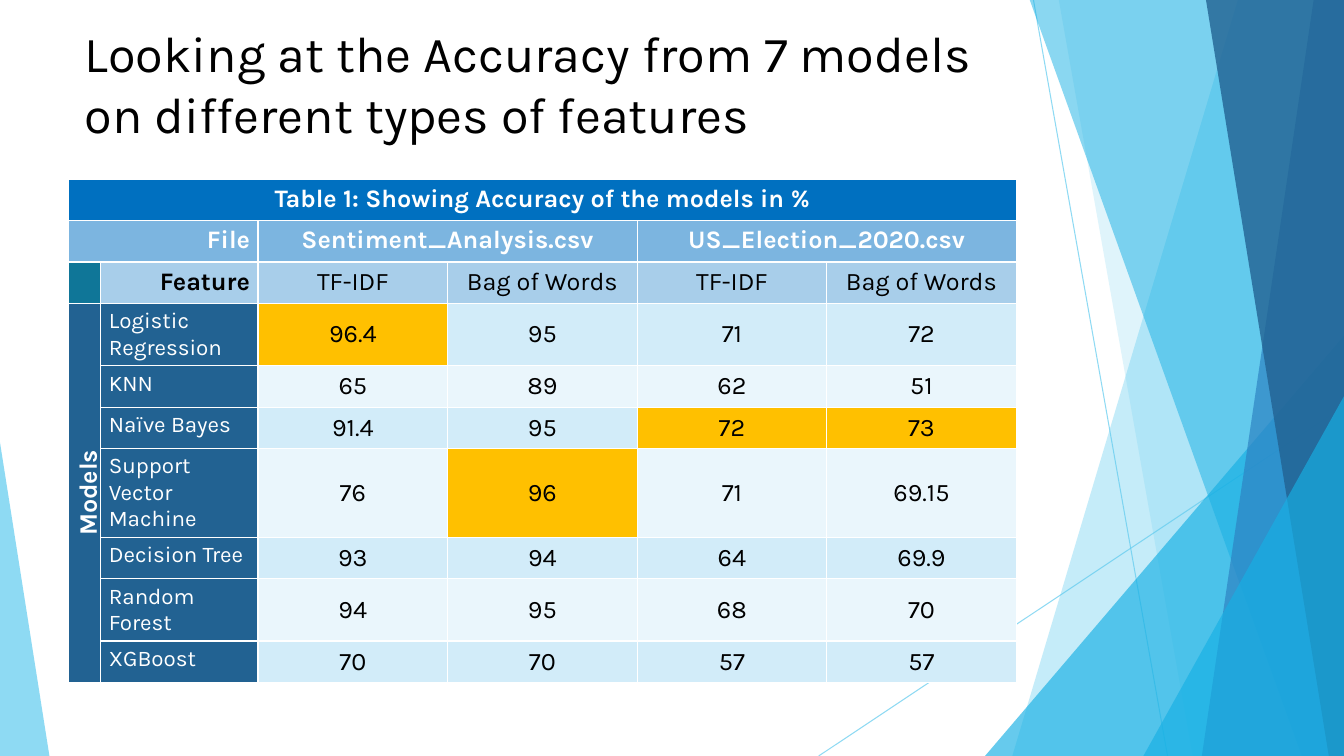
from lxml.etree import SubElement
from pptx import Presentation
from pptx.dml.color import RGBColor
from pptx.enum.shapes import MSO_CONNECTOR, MSO_SHAPE
from pptx.enum.text import MSO_ANCHOR, MSO_AUTO_SIZE, PP_ALIGN
from pptx.oxml.ns import qn
from pptx.util import Inches, Pt

COLORS = {
    "black": "000000", "white": "FFFFFF", "sky": "5FCBEF", "cyan": "17B0E4",
    "blue": "2E83C3", "navy": "226292", "caption": "0070C0", "file": "7CB5E0",
    "feature": "A8CEEA", "corner": "0F7698", "best": "FFC000",
    "odd": "D2ECF9", "even": "EAF6FC",
}
WIDTH, HEIGHT, BLEED = 13.33, 7.5, -0.01


class SlideBuilder:
    """Holds the style and the current slide, and adds each kind of element."""

    font = "Karla"

    def __init__(self, slide):
        self.slide = slide

    def color(self, name):
        return RGBColor.from_string(COLORS[name])

    def fade(self, shape, opacity):
        for tint in shape.element.iter(qn("a:srgbClr")):
            SubElement(tint, qn("a:alpha"), val=str(opacity * 1000))

    def paint(self, shape, color, opacity):
        shape.shadow.inherit = False
        shape.fill.solid()
        shape.fill.fore_color.rgb = self.color(color)
        shape.line.fill.background()
        self.fade(shape, opacity)

    def ray(self, start, end):
        ray = self.slide.shapes.add_connector(
            MSO_CONNECTOR.STRAIGHT, *map(Inches, start + end))
        ray.line.color.rgb = self.color("sky")
        ray.line.width = Pt(0.75)
        self.fade(ray, 70)
        SubElement(ray.element.spPr, qn("a:effectLst"))

    def shard(self, top_x, bottom_x, color, opacity):
        corners = [(top_x, BLEED), (WIDTH, BLEED), (WIDTH, HEIGHT), (bottom_x, HEIGHT)]
        points = [(Inches(x), Inches(y)) for x, y in corners]
        outline = self.slide.shapes.build_freeform(*points[0])
        outline.add_line_segments(points[1:], close=True)
        self.paint(outline.convert_to_shape(), color, opacity)

    def triangle(self, left, top, width, apex, color, opacity):
        triangle = self.slide.shapes.add_shape(
            MSO_SHAPE.ISOSCELES_TRIANGLE,
            *map(Inches, (left, top, width, HEIGHT - top)))
        triangle.adjustments[0] = apex
        self.paint(triangle, color, opacity)

    def style_text(self, paragraph, size, color, bold=False, align=PP_ALIGN.LEFT):
        paragraph.alignment = align
        paragraph.font.name = self.font
        paragraph.font.size = Pt(size)
        paragraph.font.bold = bold
        paragraph.font.color.rgb = self.color(color)

    def title(self, text, left, top, width, height):
        title = self.slide.shapes.title
        title.left, title.top = Inches(left), Inches(top)
        title.width, title.height = Inches(width), Inches(height)
        frame = title.text_frame
        frame.text = text
        frame.word_wrap = True
        frame.auto_size = MSO_AUTO_SIZE.NONE
        frame.vertical_anchor = MSO_ANCHOR.MIDDLE
        self.style_text(frame.paragraphs[0], 36, "black")

    def table(self, left, top, height, widths, row_count, row_height):
        holder = self.slide.shapes.add_table(
            row_count, len(widths),
            *map(Inches, (left, top, sum(widths), height)))
        table = holder.table
        table.horz_banding = False
        for column, width in zip(table.columns, widths):
            column.width = Inches(width)
        for row in table.rows:
            row.height = Inches(row_height)
        holder.height = Inches(height)
        return table

    def cell(self, cell, text, fill, size=18, color="black", bold=False,
             align=PP_ALIGN.CENTER, anchor=MSO_ANCHOR.TOP):
        cell.text = text
        cell.margin_left = cell.margin_right = Inches(0.08)
        cell.vertical_anchor = anchor
        cell.fill.solid()
        cell.fill.fore_color.rgb = self.color(fill)
        self.style_text(cell.text_frame.paragraphs[0], size, color, bold, align)


presentation = Presentation()
presentation.slide_width, presentation.slide_height = Inches(WIDTH), Inches(HEIGHT)
page = SlideBuilder(presentation.slides.add_slide(presentation.slide_layouts[5]))

page.ray((10.25, 0), (11.58, HEIGHT))
page.ray((WIDTH, 4.03), (8.12, HEIGHT))
page.shard(12.28, 10.04, "sky", 36)
page.shard(10.5, 11.83, "sky", 20)
page.triangle(9.77, 3.33, 3.56, 1, "cyan", 66)
page.shard(10.21, 12.91, "cyan", 50)
page.shard(13.03, 11.92, "blue", 70)
page.shard(11.96, 13.18, "navy", 80)
page.triangle(11.34, 3.93, 1.99, 1, "cyan", 66)
page.triangle(0, 4.39, 0.49, 0, "sky", 70)

page.title("Looking at the Accuracy from 7 models on different types of features",
           0.74, 0.1, 9.4, 1.44)

files = ["Sentiment_Analysis.csv", "US_Election_2020.csv"]
features = ["TF-IDF", "Bag of Words"]
accuracies = {
    "Logistic Regression": ["96.4", "95", "71", "72"],
    "KNN": ["65", "89", "62", "51"],
    "Naïve Bayes": ["91.4", "95", "72", "73"],
    "Support Vector Machine": ["76", "96", "71", "69.15"],
    "Decision Tree": ["93", "94", "64", "69.9"],
    "Random Forest": ["94", "95", "68", "70"],
    "XGBoost": ["70", "70", "57", "57"],
}
best_scores = [max(scores, key=float) for scores in zip(*accuracies.values())]
first_model, first_score = 3, 2
row_count = first_model + len(accuracies)
table = page.table(0.68, 1.78, 5.01, [0.32, 1.56] + [1.88] * 4, row_count, 0.41)

merges = [(0, 0, 0, 5), (1, 0, 1, 1), (1, 2, 1, 3), (1, 4, 1, 5),
          (first_model, 0, row_count - 1, 0)]
for top, left, bottom, right in merges:
    table.cell(top, left).merge(table.cell(bottom, right))

heading = {"color": "white", "bold": True}
page.cell(table.cell(0, 0), "Table 1: Showing Accuracy of the models in %",
          "caption", **heading)
page.cell(table.cell(1, 0), "File", "file", align=PP_ALIGN.RIGHT, **heading)
page.cell(table.cell(2, 0), "", "corner")
page.cell(table.cell(2, 1), "Feature", "feature", bold=True, align=PP_ALIGN.RIGHT)
for index, file in enumerate(files):
    file_column = first_score + index * len(features)
    page.cell(table.cell(1, file_column), file, "file", **heading)
    for column, feature in enumerate(features, file_column):
        page.cell(table.cell(2, column), feature, "feature")

models = table.cell(first_model, 0)
page.cell(models, "Models", "navy", anchor=MSO_ANCHOR.MIDDLE, **heading)
models._tc.get_or_add_tcPr().set("vert", "vert270")

for row, (model, scores) in enumerate(accuracies.items(), first_model):
    page.cell(table.cell(row, 1), model, "navy", 16, "white", align=PP_ALIGN.LEFT)
    band = "odd" if row % 2 else "even"
    for column, (score, best) in enumerate(zip(scores, best_scores), first_score):
        page.cell(table.cell(row, column), score, "best" if score == best else band,
                  anchor=MSO_ANCHOR.MIDDLE)

presentation.save("out.pptx")
